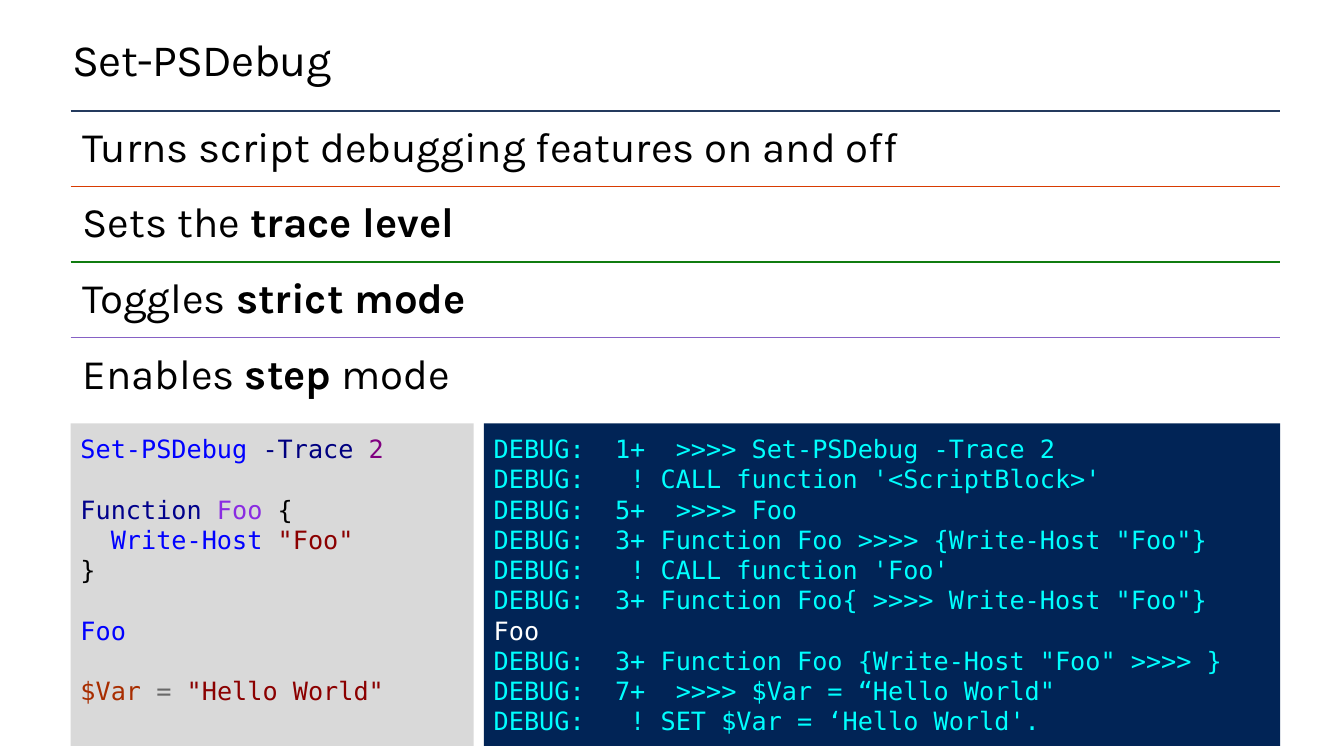
from lxml.etree import SubElement
from pptx import Presentation
from pptx.dml.color import RGBColor
from pptx.enum.shapes import MSO_CONNECTOR, MSO_SHAPE
from pptx.enum.text import MSO_ANCHOR, PP_ALIGN
from pptx.oxml.ns import qn
from pptx.util import Pt

COLORS = {
    "black": "000000", "white": "FFFFFF", "navy rule": "243A5E",
    "orange rule": "D83B01", "green rule": "107C10", "purple rule": "8661C5",
    "console": "012456", "editor": "D9D9D9", "debug": "00FFFF",
    "command": "0000FF", "parameter": "000080", "number": "800080",
    "keyword": "00008B", "argument": "8A2BE2", "string": "8B0000",
    "variable": "A82D00", "operator": "696969",
}


class SlideBuilder:
    """Draws the elements of one slide in a shared style."""

    body_font = "Karla"
    code_font = "DejaVu Sans Mono"
    code_size = 18
    code_pitch = 21.6

    def __init__(self, slide):
        self.slide = slide

    def color(self, name):
        return RGBColor.from_string(COLORS[name])

    def frame(self, shape, inset, anchor):
        frame = shape.text_frame
        frame.word_wrap = True
        frame.vertical_anchor = anchor
        frame.margin_left = frame.margin_right = Pt(inset)
        frame.margin_top = frame.margin_bottom = Pt(inset)
        return frame

    def run(self, paragraph, text, font, size, color="black", bold=False):
        run = paragraph.add_run()
        run.text = text
        run.font.name = font
        run.font.size = Pt(size)
        run.font.bold = bold
        run.font.color.rgb = self.color(color)
        return run

    def text(self, left, top, width, height, runs, size, inset, spacing, tracking=0):
        box = self.slide.shapes.add_textbox(Pt(left), Pt(top), Pt(width), Pt(height))
        paragraph = self.frame(box, inset, MSO_ANCHOR.MIDDLE).paragraphs[0]
        paragraph.line_spacing = spacing
        for words, bold in runs:
            run = self.run(paragraph, words, self.body_font, size, bold=bold)
            if tracking:
                run.font._element.set("spc", str(tracking))

    def rule(self, left, top, width, color):
        rule = self.slide.shapes.add_connector(
            MSO_CONNECTOR.STRAIGHT, Pt(left), Pt(top), Pt(left + width), Pt(top))
        rule.line.color.rgb = self.color(color)
        rule.line.width = Pt(1)
        SubElement(rule._element.spPr, qn("a:effectLst"))

    def code(self, left, top, width, height, fill, lines):
        panel = self.slide.shapes.add_shape(
            MSO_SHAPE.RECTANGLE, Pt(left), Pt(top), Pt(width), Pt(height))
        panel.shadow.inherit = False
        panel.fill.solid()
        panel.fill.fore_color.rgb = self.color(fill)
        panel.line.fill.background()
        frame = self.frame(panel, 7.2, MSO_ANCHOR.TOP)
        for index, (gap, runs) in enumerate(lines):
            paragraph = frame.add_paragraph() if index else frame.paragraphs[0]
            paragraph.alignment = PP_ALIGN.LEFT
            paragraph.line_spacing = Pt(self.code_pitch)
            paragraph.space_before = Pt(gap * self.code_pitch)
            for words, color in runs:
                self.run(paragraph, words, self.code_font, self.code_size, color)


LEFT, WIDTH = 50.4, 864
FEATURES_TOP, FEATURE_HEIGHT = 79.2, 54
CODE_TOP, CODE_HEIGHT = 302.4, 230.4

FEATURES = [
    ("navy rule", [("Turns script debugging features on and off", False)]),
    ("orange rule", [("Sets the ", False), ("trace level", True)]),
    ("green rule", [("Toggles ", False), ("strict mode", True)]),
    ("purple rule", [("Enables ", False), ("step", True), (" mode", False)]),
]

TRACE_OUTPUT = [
    "DEBUG:  1+  >>>> Set-PSDebug -Trace 2",
    "DEBUG:   ! CALL function '<ScriptBlock>'",
    "DEBUG:  5+  >>>> Foo",
    "DEBUG:  3+ Function Foo >>>> {Write-Host \"Foo\"}",
    "DEBUG:   ! CALL function 'Foo'",
    "DEBUG:  3+ Function Foo{ >>>> Write-Host \"Foo\"}",
    "Foo",
    "DEBUG:  3+ Function Foo {Write-Host \"Foo\" >>>> }",
    "DEBUG:  7+  >>>> $Var = “Hello World\"",
    "DEBUG:   ! SET $Var = ‘Hello World'.",
]

SCRIPT = [
    (0, [("Set-PSDebug ", "command"), ("-Trace ", "parameter"), ("2", "number")]),
    (1, [("Function ", "keyword"), ("Foo ", "argument"), ("{", "black")]),
    (0, [("  Write-Host ", "command"), ("\"Foo\"", "string")]),
    (0, [("}", "black")]),
    (1, [("Foo", "command")]),
    (1, [("$Var ", "variable"), ("= ", "operator"), ("\"Hello World\"", "string")]),
]


def main():
    deck = Presentation()
    deck.slide_width, deck.slide_height = Pt(960), Pt(540)
    builder = SlideBuilder(deck.slides.add_slide(deck.slide_layouts[6]))

    builder.text(51.84, 25.2, 856.8, 36, [("Set-PSDebug", False)], 32, 0, Pt(36.2), -50)
    for index, (color, runs) in enumerate(FEATURES):
        top = FEATURES_TOP + index * FEATURE_HEIGHT
        builder.rule(LEFT, top, WIDTH, color)
        builder.text(LEFT, top, WIDTH, FEATURE_HEIGHT, runs, 30, 8.64, 0.9)

    trace = [(0, [(line, "debug" if line.startswith("DEBUG") else "white")])
             for line in TRACE_OUTPUT]
    builder.code(345.6, CODE_TOP, 568.8, CODE_HEIGHT, "console", trace)
    builder.code(LEFT, CODE_TOP, 288, CODE_HEIGHT, "editor", SCRIPT)
    deck.save("out.pptx")


if __name__ == "__main__":
    main()
